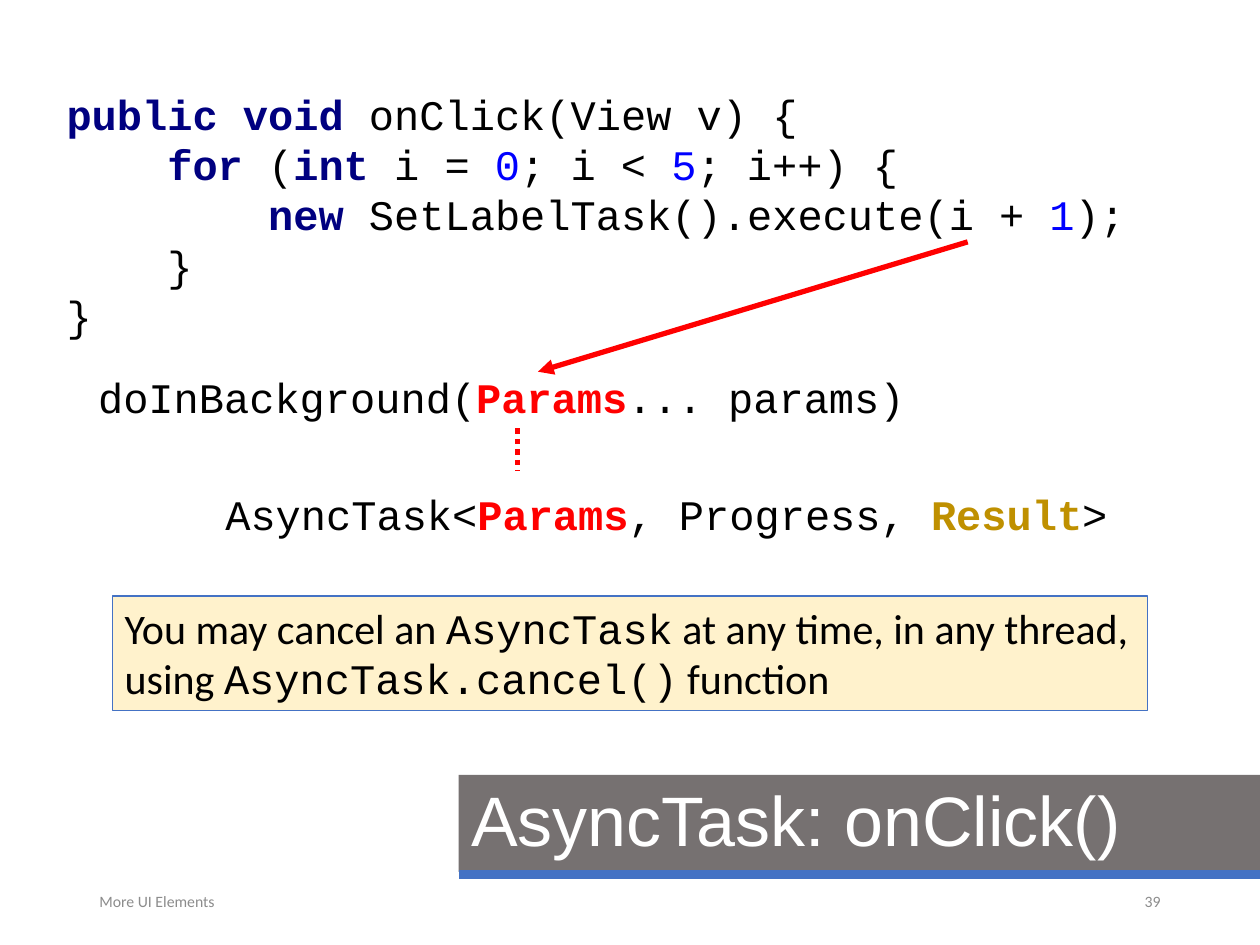
from lxml import etree
from pptx import Presentation
from pptx.dml.color import RGBColor
from pptx.enum.dml import MSO_LINE
from pptx.enum.shapes import MSO_CONNECTOR, MSO_SHAPE
from pptx.enum.text import MSO_ANCHOR, MSO_AUTO_SIZE, PP_ALIGN
from pptx.oxml.ns import qn
from pptx.util import Inches, Pt

LEFT, RIGHT = PP_ALIGN.LEFT, PP_ALIGN.RIGHT
TOP, MIDDLE = MSO_ANCHOR.TOP, MSO_ANCHOR.MIDDLE
NO_FIT, GROW = MSO_AUTO_SIZE.NONE, MSO_AUTO_SIZE.SHAPE_TO_FIT_TEXT
RECT = MSO_SHAPE.RECTANGLE
STRAIGHT = MSO_CONNECTOR.STRAIGHT
DOTTED = MSO_LINE.ROUND_DOT

BLUE, RED, BLACK = "4472C4", "FF0000", "000000"
CODE, BODY, HEAD = "Courier New", "Calibri", "Arial"

# Run styles: font, size, colour, bold
PLAIN = (CODE, 24, BLACK, False)
KEYWORD = (CODE, 24, "000080", True)
NUMBER = (CODE, 24, "0000FF", False)
PARAMS = (CODE, 24, RED, True)
RESULT = (CODE, 24, "BF9000", True)
NOTE = (BODY, 24, BLACK, False)
TITLE = (HEAD, 40, "FFFFFF", False)
FOOTER = (BODY, 9, "8C8C8C", False)


def rgb(value):
    return RGBColor.from_string(value)


class SlideBuilder:
    def __init__(self, prs):
        self.s = prs.slides.add_slide(prs.slide_layouts[5])

    def add_lines(self, sp, lines, align=LEFT, anchor=TOP, wrap=True, fit=NO_FIT):
        """Fill a shape with one paragraph; each line is a list of (text, style)."""
        tf = sp.text_frame
        tf.word_wrap, tf.auto_size, tf.vertical_anchor = wrap, fit, anchor
        p = tf.paragraphs[0]
        p.alignment = align
        for i, line in enumerate(lines):
            if i:
                p.add_line_break()
            for text, (font, size, color, bold) in line:
                r = p.add_run()
                r.text = text
                r.font.name, r.font.size, r.font.bold = font, Pt(size), bold
                r.font.color.rgb = rgb(color)
        return p

    def title(self, x, y, w, h, text, fill):
        sp = self.s.shapes.title
        sp.left, sp.top, sp.width, sp.height = map(Inches, (x, y, w, h))
        sp.fill.solid()
        sp.fill.fore_color.rgb = rgb(fill)
        p = self.add_lines(sp, [[(text, TITLE)]], anchor=MIDDLE)
        p.line_spacing = 0.9

    def text(self, x, y, w, h, lines, **layout):
        sp = self.s.shapes.add_textbox(*map(Inches, (x, y, w, h)))
        self.add_lines(sp, lines, **layout)

    def box(self, x, y, w, h, lines, fill, line):
        sp = self.s.shapes.add_shape(RECT, *map(Inches, (x, y, w, h)))
        sp.shadow.inherit = False
        sp.fill.solid()
        sp.fill.fore_color.rgb = rgb(fill)
        sp.line.color.rgb = rgb(line)
        sp.line.width = Pt(0.75)
        self.add_lines(sp, lines, fit=GROW)

    def line(self, x1, y1, x2, y2, color, width, dash=None, arrow=False):
        cx = self.s.shapes.add_connector(STRAIGHT, *map(Inches, (x1, y1, x2, y2)))
        cx.line.color.rgb = rgb(color)
        cx.line.width = Pt(width)
        if dash:
            cx.line.dash_style = dash
        sp_pr = cx._element.spPr
        if arrow:
            etree.SubElement(sp_pr.find(qn("a:ln")), qn("a:tailEnd"), type="triangle")
        etree.SubElement(sp_pr, qn("a:effectLst"))


def main():
    prs = Presentation()
    prs.slide_width, prs.slide_height = Inches(10), Inches(7.5)
    b = SlideBuilder(prs)

    # Title band
    b.title(3.64, 6.15, 6.36, 0.77, "AsyncTask: onClick()", "767171")
    b.line(3.64, 6.94, 10, 6.94, BLUE, 5)

    # Click handler
    b.text(0.43, 0.65, 9.14, 2.12, [
        [("public void ", KEYWORD), ("onClick(View v) {", PLAIN)],
        [("    ", PLAIN), ("for ", KEYWORD), ("(", PLAIN), ("int ", KEYWORD),
         ("i = ", PLAIN), ("0", NUMBER), ("; i < ", PLAIN), ("5", NUMBER),
         ("; i++) {", PLAIN)],
        [("        ", PLAIN), ("new ", KEYWORD),
         ("SetLabelTask().execute(i + ", PLAIN), ("1", NUMBER), (");", PLAIN)],
        [("    }", PLAIN)],
        [("}", PLAIN)],
    ], fit=GROW)

    # Signatures and the links between them
    b.text(1.69, 3.83, 7.26, 0.5, [
        [("AsyncTask<", PLAIN), ("Params", PARAMS), (", Progress, ", PLAIN),
         ("Result", RESULT), (">", PLAIN)],
    ], wrap=False, fit=GROW)
    b.line(7.68, 1.92, 4.27, 2.95, RED, 3, arrow=True)
    b.text(0.68, 2.9, 6.85, 0.5, [
        [("doInBackground(", PLAIN), ("Params", PARAMS), ("... params)", PLAIN)],
    ], wrap=False, fit=GROW)
    b.line(4.11, 3.4, 4.11, 3.74, RED, 3, dash=DOTTED)

    # Note on cancelling
    b.box(0.89, 4.73, 8.22, 0.91, [
        [("You may cancel an ", NOTE), ("AsyncTask", PLAIN),
         (" at any time, in any thread, using ", NOTE),
         ("AsyncTask.cancel()", PLAIN), (" function", NOTE)],
    ], "FFF2CC", BLUE)

    # Footer
    b.text(0.69, 6.95, 2.25, 0.4, [[("More UI Elements", FOOTER)]], anchor=MIDDLE)
    b.text(7.06, 6.95, 2.25, 0.4, [[("39", FOOTER)]], align=RIGHT, anchor=MIDDLE)

    prs.save("out.pptx")


if __name__ == "__main__":
    main()
